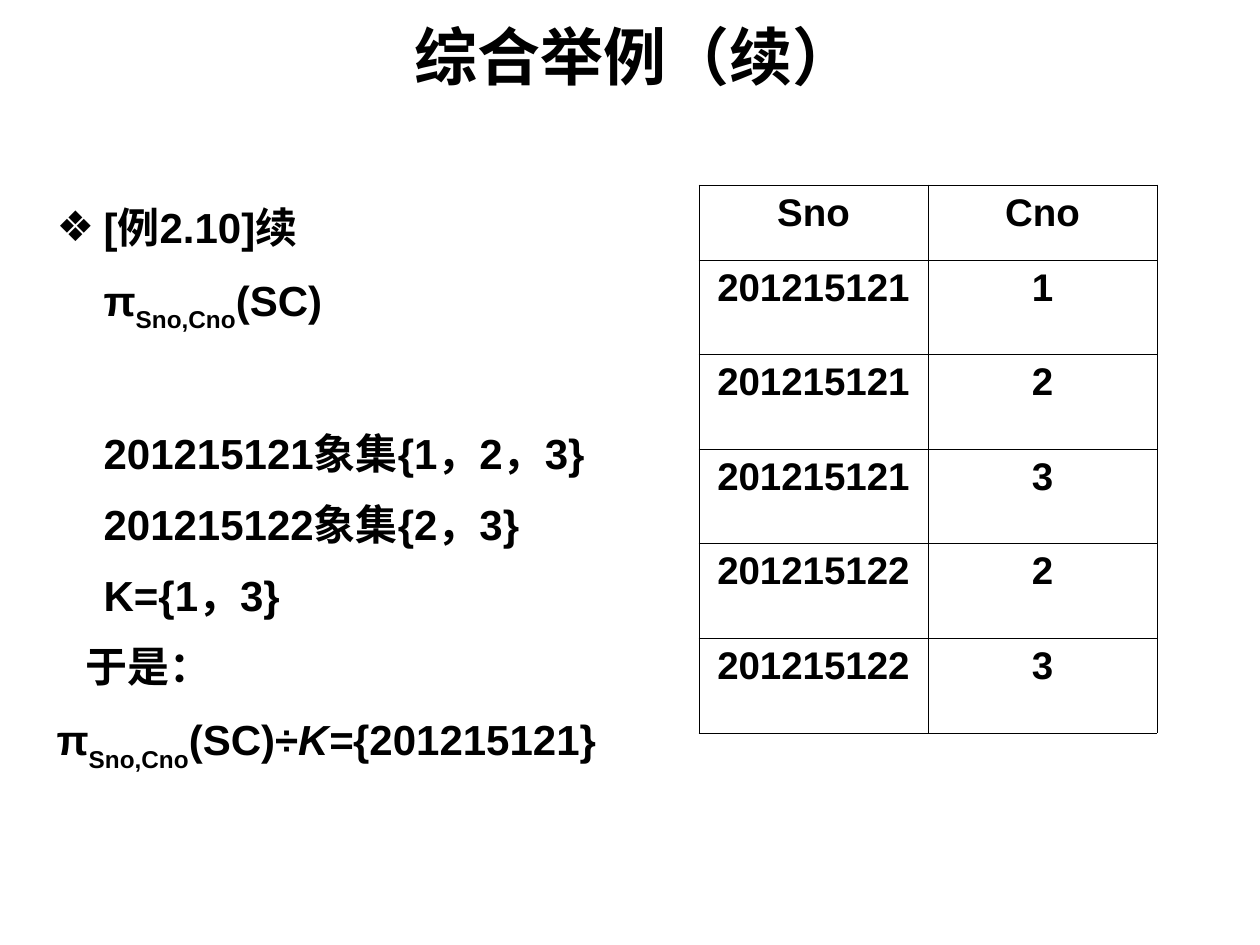
from dataclasses import dataclass

from lxml import etree
from pptx import Presentation
from pptx.dml.color import RGBColor
from pptx.enum.text import MSO_ANCHOR, MSO_AUTO_SIZE, PP_ALIGN
from pptx.oxml.ns import qn
from pptx.util import Emu, Pt

PX_PER_INCH = 126


@dataclass(frozen=True)
class Theme:
    font: str = "Arial"
    ink: RGBColor = RGBColor(0, 0, 0)
    title_size: int = 36
    body_size: int = 24
    table_size: int = 22
    border_width: float = 0.45
    line_spacing: float = 1.2
    paragraph_gap: int = 6
    section_gap: int = 48


THEME = Theme()
HANGING_INDENT = 47
PLAIN, SUBSCRIPT, ITALIC = "plain", "subscript", "italic"
PROJECTION = [("π", PLAIN), ("Sno,Cno", SUBSCRIPT)]

# Each line: runs, left indent in px, space before in points
LINES = [
    ([("[例2.10]续", PLAIN)], HANGING_INDENT, 0),
    (PROJECTION + [("(SC)", PLAIN)], HANGING_INDENT, THEME.paragraph_gap),
    ([("201215121象集{1，2，3}", PLAIN)], HANGING_INDENT, THEME.section_gap),
    ([("201215122象集{2，3}", PLAIN)], HANGING_INDENT, THEME.paragraph_gap),
    ([("K={1，3}", PLAIN)], HANGING_INDENT, THEME.paragraph_gap),
    ([("于是：", PLAIN)], 29, THEME.paragraph_gap),
    (PROJECTION + [("(SC)÷", PLAIN), ("K=", ITALIC), ("{201215121}", PLAIN)],
     0, THEME.paragraph_gap),
]

ROWS = [
    ("Sno", "Cno"),
    ("201215121", "1"),
    ("201215121", "2"),
    ("201215121", "3"),
    ("201215122", "2"),
    ("201215122", "3"),
]


def px(length):
    return Emu(round(length * 914400 / PX_PER_INCH))


def place(shape, box):
    shape.left, shape.top, shape.width, shape.height = map(px, box)


def format_font(font, size):
    font.name = THEME.font
    font.size = Pt(size)
    font.bold = True
    font.color.rgb = THEME.ink


def set_bullet(paragraph, indent, character=None):
    """Set the left indent, and hang a bullet in it if a character is given."""
    properties = paragraph._p.get_or_add_pPr()
    properties.set("marL", str(px(indent)))
    properties.set("indent", str(-px(indent) if character else 0))
    if character:
        font = etree.SubElement(properties, qn("a:buFont"))
        font.set("typeface", THEME.font)
        etree.SubElement(properties, qn("a:buChar")).set("char", character)
    else:
        etree.SubElement(properties, qn("a:buNone"))


def add_title(slide, box):
    title = slide.shapes.title
    place(title, box)
    frame = title.text_frame
    frame.text = "综合举例（续）"
    frame.auto_size = MSO_AUTO_SIZE.NONE
    frame.vertical_anchor = MSO_ANCHOR.MIDDLE
    paragraph = frame.paragraphs[0]
    paragraph.alignment = PP_ALIGN.CENTER
    format_font(paragraph.runs[0].font, THEME.title_size)


def add_derivation(slide, box):
    body = slide.placeholders[1]
    place(body, box)
    frame = body.text_frame
    frame.auto_size = MSO_AUTO_SIZE.NONE
    for index, (runs, indent, space_before) in enumerate(LINES):
        paragraph = frame.add_paragraph() if index else frame.paragraphs[0]
        set_bullet(paragraph, indent, None if index else "❖")
        paragraph.line_spacing = THEME.line_spacing
        paragraph.space_before = Pt(space_before)
        for text, style in runs:
            run = paragraph.add_run()
            run.text = text
            format_font(run.font, THEME.body_size)
            if style == ITALIC:
                run.font.italic = True
            elif style == SUBSCRIPT:
                run._r.get_or_add_rPr().set("baseline", "-30000")


def add_cell_borders(cell):
    properties = cell._tc.get_or_add_tcPr()
    for side in ("a:lnL", "a:lnR", "a:lnT", "a:lnB"):
        line = etree.SubElement(properties, qn(side))
        line.set("w", str(Pt(THEME.border_width)))
        fill = etree.SubElement(line, qn("a:solidFill"))
        etree.SubElement(fill, qn("a:srgbClr")).set("val", str(THEME.ink))


def add_projection_table(slide, box, header_height):
    left, top, width, height = box
    table = slide.shapes.add_table(
        len(ROWS), len(ROWS[0]), px(left), px(top), px(width), px(height)).table
    table.first_row = table.horz_banding = False
    row_height = (height - header_height) / (len(ROWS) - 1)
    for row_index, values in enumerate(ROWS):
        table.rows[row_index].height = px(row_height if row_index else header_height)
        for column_index, value in enumerate(values):
            cell = table.cell(row_index, column_index)
            add_cell_borders(cell)
            cell.fill.background()
            cell.text_frame.text = value
            paragraph = cell.text_frame.paragraphs[0]
            paragraph.alignment = PP_ALIGN.CENTER
            format_font(paragraph.runs[0].font, THEME.table_size)


def main():
    presentation = Presentation()
    presentation.slide_width, presentation.slide_height = px(1260), px(945)
    slide = presentation.slides.add_slide(presentation.slide_layouts[1])
    add_title(slide, (126, 16, 1018, 78))
    add_derivation(slide, (44, 185, 655, 687))
    add_projection_table(slide, (699, 185, 458, 548), header_height=75)
    presentation.save("out.pptx")


if __name__ == "__main__":
    main()
